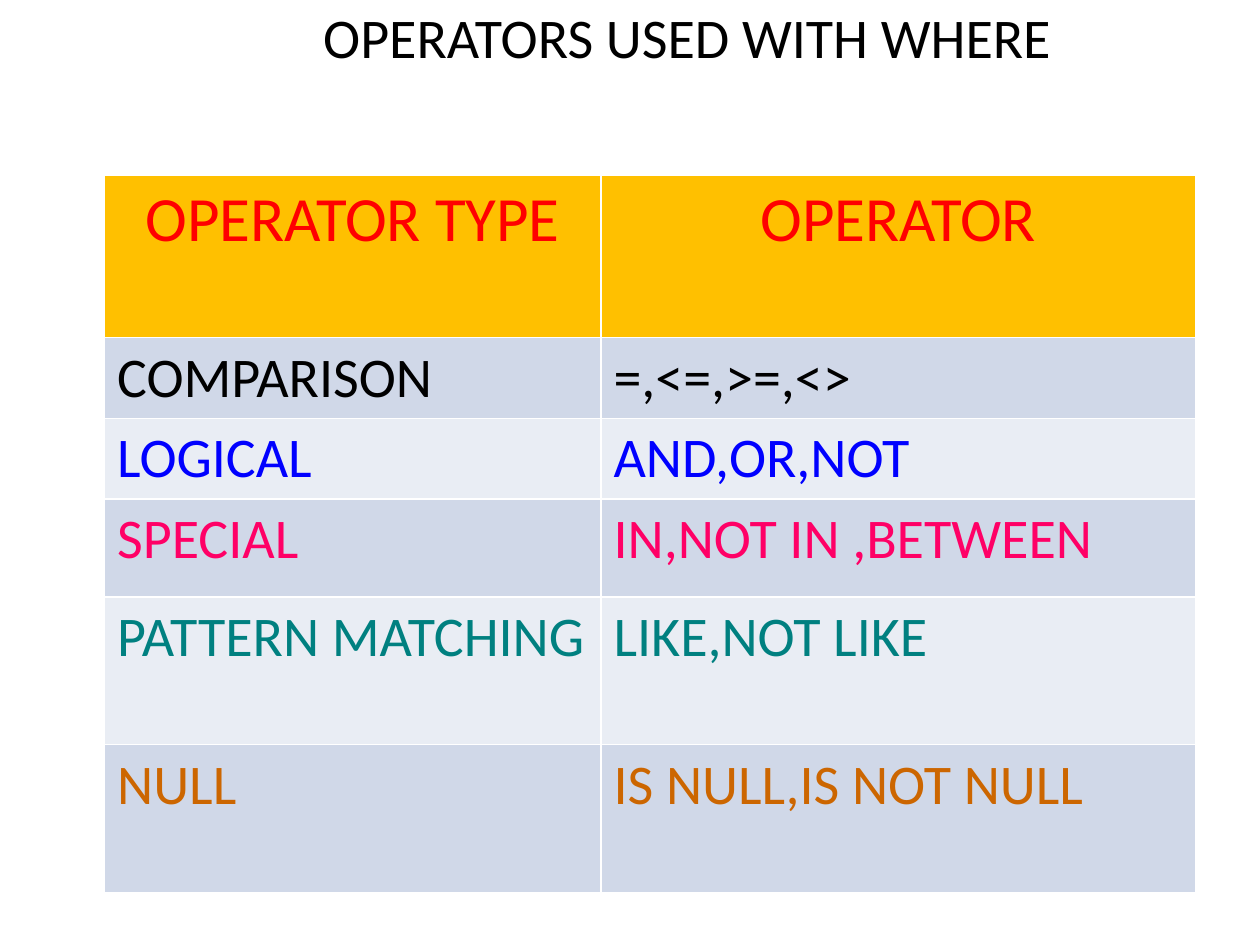
from pptx import Presentation
from pptx.dml.color import RGBColor
from pptx.enum.text import PP_ALIGN
from pptx.util import Inches, Pt

FONT = "Calibri"
WHITE = RGBColor(0xFF, 0xFF, 0xFF)
BLACK = RGBColor(0x00, 0x00, 0x00)
RED = RGBColor(0xFF, 0x00, 0x00)
AMBER = RGBColor(0xFF, 0xC0, 0x00)
BLUE = RGBColor(0x00, 0x00, 0xFF)
PINK = RGBColor(0xFF, 0x00, 0x66)
TEAL = RGBColor(0x00, 0x80, 0x80)
BROWN = RGBColor(0xCC, 0x66, 0x00)
BANDS = (RGBColor(0xD0, 0xD8, 0xE8), RGBColor(0xE9, 0xED, 0xF4))

HEADINGS = ("OPERATOR TYPE", "OPERATOR")
# operator type, operators, text colour, row height in inches
OPERATORS = [
    ("COMPARISON", "=,<=,>=,<>", BLACK, 0.64),
    ("LOGICAL", "AND,OR,NOT", BLUE, 0.64),
    ("SPECIAL", "IN,NOT IN ,BETWEEN", PINK, 0.78),
    ("PATTERN MATCHING", "LIKE,NOT LIKE", TEAL, 1.17),
    ("NULL", "IS NULL,IS NOT NULL", BROWN, 1.18),
]


def write(text_frame, text, size, color, align):
    text_frame.text = text
    paragraph = text_frame.paragraphs[0]
    paragraph.alignment = align
    font = paragraph.runs[0].font
    font.name, font.size, font.bold = FONT, Pt(size), False
    font.color.rgb = color


def add_title(slide, left, top, width, height):
    title = slide.shapes.add_textbox(left, top, width, height)
    title.fill.solid()
    title.fill.fore_color.rgb = WHITE
    title.text_frame.word_wrap = True
    write(title.text_frame, "OPERATORS USED WITH WHERE", 32, BLACK, PP_ALIGN.CENTER)


def fill_row(table, row, texts, fill, size, color, align):
    for column, text in enumerate(texts):
        cell = table.cell(row, column)
        cell.fill.solid()
        cell.fill.fore_color.rgb = fill
        write(cell.text_frame, text, size, color, align)


def add_operator_table(slide, left, top, width, height):
    """Place the table; the last row takes up what height the others leave."""
    table = slide.shapes.add_table(
        len(OPERATORS) + 1, len(HEADINGS), left, top, width, height
    ).table
    type_width = Inches(3.94)
    table.columns[0].width = type_width
    table.columns[1].width = width - type_width

    table.rows[0].height = height - sum(Inches(row[3]) for row in OPERATORS)
    fill_row(table, 0, HEADINGS, AMBER, 36, RED, PP_ALIGN.CENTER)
    for row, (kind, operators, color, row_height) in enumerate(OPERATORS, start=1):
        table.rows[row].height = Inches(row_height)
        band = BANDS[(row - 1) % 2]
        fill_row(table, row, (kind, operators), band, 32, color, PP_ALIGN.LEFT)


def main():
    presentation = Presentation()
    presentation.slide_width = Inches(10)
    presentation.slide_height = Inches(7.5)
    slide = presentation.slides.add_slide(presentation.slide_layouts[6])
    add_title(slide, Inches(0.91), Inches(-0.03), Inches(9.09), Inches(1.03))
    add_operator_table(slide, Inches(0.83), Inches(1.39), Inches(8.66), Inches(5.7))
    presentation.save("out.pptx")


if __name__ == "__main__":
    main()
